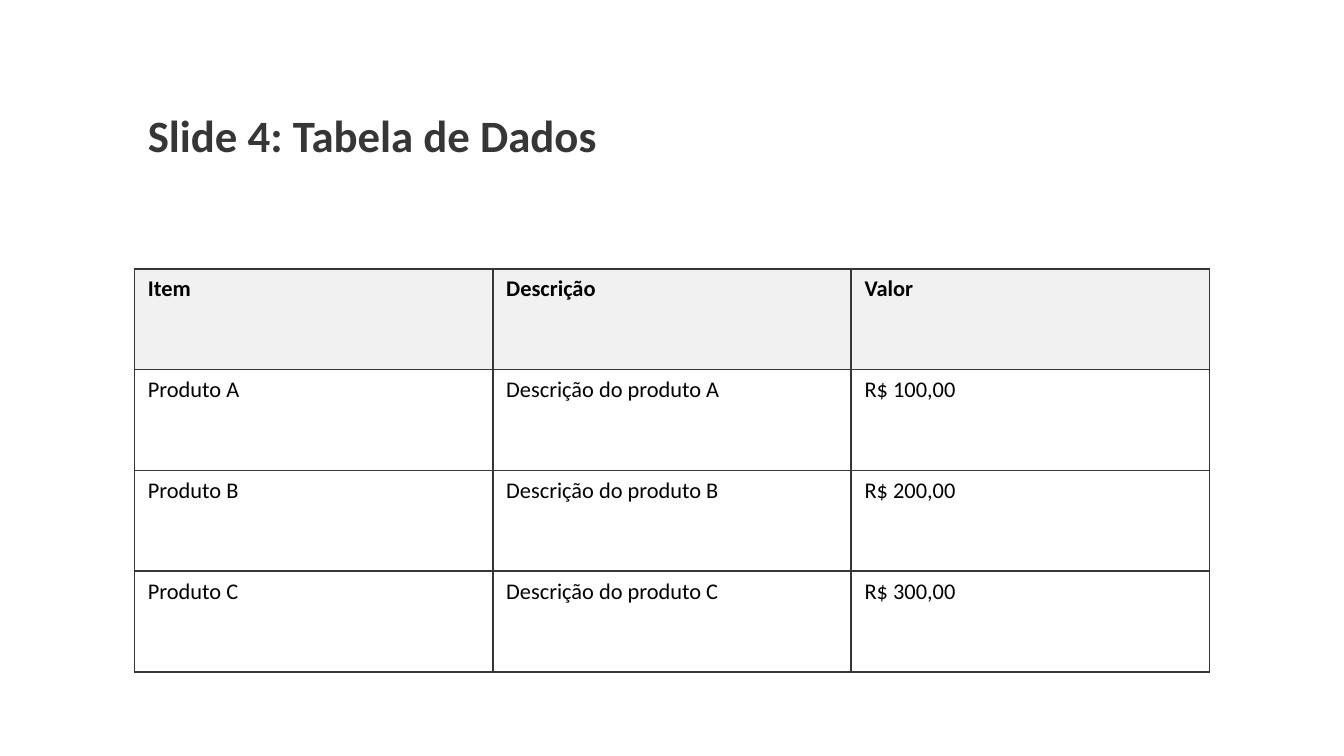
import pptx
import pptx.dml.color
import pptx.enum.text
import pptx.oxml
import pptx.oxml.ns
import pptx.util
from pptx.util import Inches

DARK_GRAY = pptx.dml.color.RGBColor(0x36, 0x36, 0x36)
BLACK = pptx.dml.color.RGBColor(0x00, 0x00, 0x00)
HEADER_GRAY = pptx.dml.color.RGBColor(0xF1, 0xF1, 0xF1)

ROWS = [
    ("Item", "Descrição", "Valor"),
    ("Produto A", "Descrição do produto A", "R$ 100,00"),
    ("Produto B", "Descrição do produto B", "R$ 200,00"),
    ("Produto C", "Descrição do produto C", "R$ 300,00"),
]


def write_text(text_frame, text, *, size, color, bold=False):
    paragraph = text_frame.paragraphs[0]
    paragraph.alignment = pptx.enum.text.PP_ALIGN.LEFT
    run = paragraph.add_run()
    run.text = text
    run.font.name = "Calibri"
    run.font.size = pptx.util.Pt(size)
    run.font.bold = bold
    run.font.color.rgb = color


def add_borders(cell, color, width):
    properties = cell._tc.get_or_add_tcPr()
    # Border lines come before the fill, in this order
    for position, side in enumerate(("lnL", "lnR", "lnT", "lnB")):
        line = pptx.oxml.parse_xml(
            f'<a:{side} {pptx.oxml.ns.nsdecls("a")} w="{pptx.util.Pt(width)}">'
            f'<a:solidFill><a:srgbClr val="{color}"/></a:solidFill>'
            f'<a:prstDash val="solid"/></a:{side}>'
        )
        properties.insert(position, line)


# Widescreen slide, 16:9
presentation = pptx.Presentation()
presentation.slide_width = Inches(10)
presentation.slide_height = Inches(10 * 9 / 16)
slide = presentation.slides.add_slide(presentation.slide_layouts.get_by_name("Title Only"))

# Title
title = slide.shapes.title
title.left, title.top = Inches(1), Inches(0.5)
title.width, title.height = Inches(8), Inches(1)
title.text_frame.vertical_anchor = pptx.enum.text.MSO_ANCHOR.MIDDLE
write_text(title.text_frame, "Slide 4: Tabela de Dados", size=24, color=DARK_GRAY, bold=True)

# Data table
table = slide.shapes.add_table(
    len(ROWS), len(ROWS[0]), Inches(1), Inches(2), Inches(8), Inches(3)
).table
table.horz_banding = False
for row_index, values in enumerate(ROWS):
    is_header = row_index == 0
    for column_index, value in enumerate(values):
        cell = table.cell(row_index, column_index)
        write_text(cell.text_frame, value, size=12, color=BLACK, bold=is_header)
        if is_header:
            cell.fill.solid()
            cell.fill.fore_color.rgb = HEADER_GRAY
        else:
            cell.fill.background()
        add_borders(cell, DARK_GRAY, 1)

presentation.save("out.pptx")
